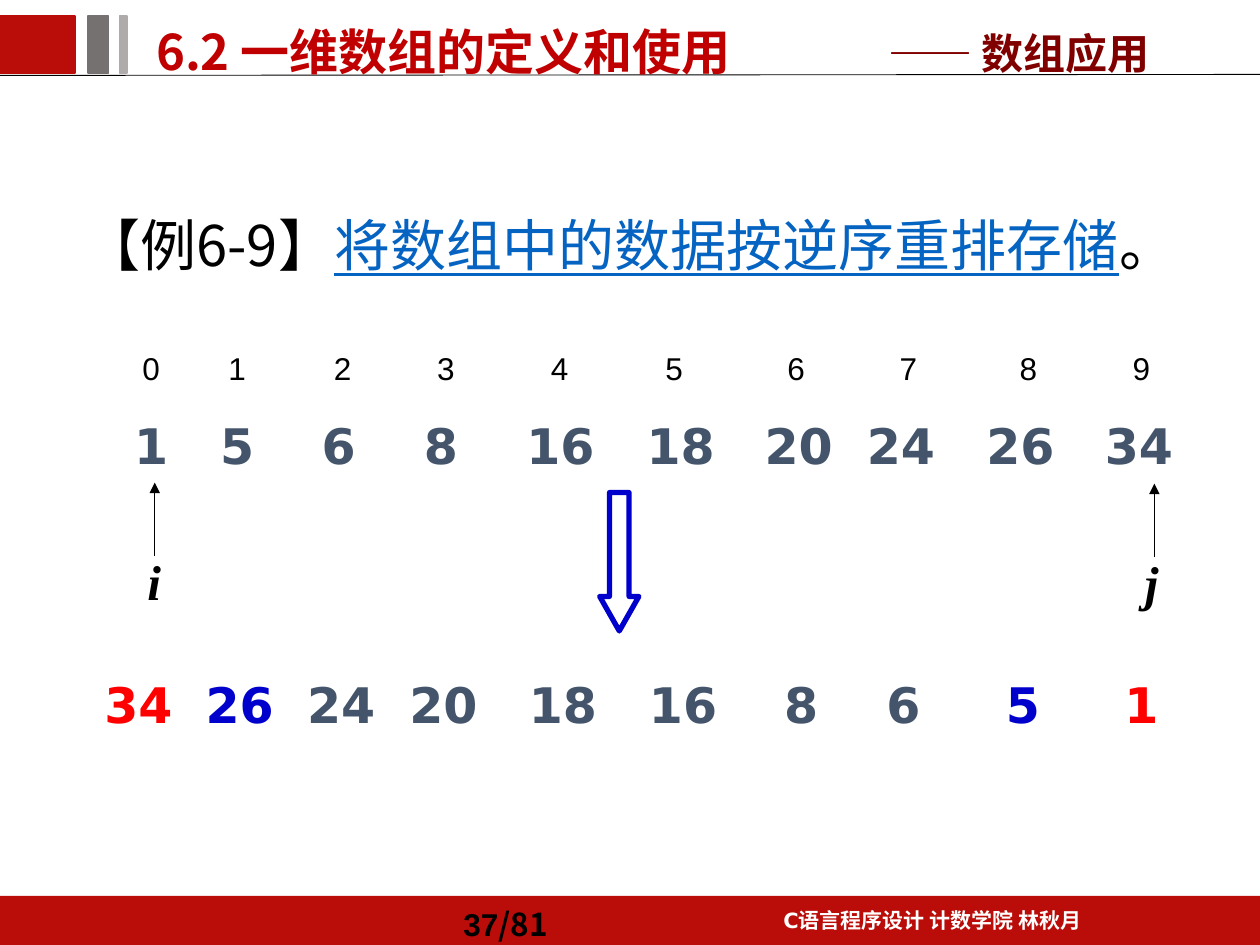
from lxml.etree import SubElement
from pptx import Presentation
from pptx.dml.color import RGBColor
from pptx.enum.shapes import MSO_CONNECTOR as Connector, MSO_SHAPE as Shape
from pptx.enum.text import MSO_ANCHOR as Anchor, PP_ALIGN as Align
from pptx.oxml.ns import qn
from pptx.util import Cm, Pt

COLORS = {
    "black": "000000", "white": "FFFFFF", "brand": "BA0D09", "title": "C00000",
    "topic": "800000", "gray": "767171", "silver": "AFABAB", "link": "0563C1",
    "slate": "44546A", "red": "FF0000", "blue": "0000CC",
}
SANS, DEJAVU, CJK, SERIF = "Arial", "DejaVu Sans", "Noto Sans CJK SC", "Times New Roman"
INSET = 0.25  # left inset of a text box, cm


def rgb(name):
    return RGBColor.from_string(COLORS[name])


class SlideBuilder:
    def __init__(self, slide):
        self.slide = slide

    def block(self, box, fill=None, line=None, width=1, kind=Shape.RECTANGLE):
        shape = self.slide.shapes.add_shape(kind, *map(Cm, box))
        shape.shadow.inherit = False
        if fill:
            shape.fill.solid()
            shape.fill.fore_color.rgb = rgb(fill)
        else:
            shape.fill.background()
        if line:
            shape.line.color.rgb = rgb(line)
            shape.line.width = Pt(width)
        else:
            shape.line.fill.background()
        return shape

    def line(self, start, end, width, arrow=False):
        connector = self.slide.shapes.add_connector(
            Connector.STRAIGHT, *map(Cm, start + end))
        connector.line.color.rgb = rgb("black")
        connector.line.width = Pt(width)
        if arrow:
            SubElement(connector.line._get_or_add_ln(), qn("a:headEnd"), type="triangle")
        SubElement(connector._element.spPr, qn("a:effectLst"))

    def text(self, box, runs, size, font, color="black", bold=True, italic=False,
             align=Align.LEFT, anchor=Anchor.TOP, wrap=True, spacing=None, before=None):
        """Each run is a string or a (string, color) pair."""
        frame = self.slide.shapes.add_textbox(*map(Cm, box)).text_frame
        frame.word_wrap = wrap
        frame.vertical_anchor = anchor
        paragraph = frame.paragraphs[0]
        paragraph.alignment = align
        if spacing:
            paragraph.line_spacing = spacing
            paragraph.space_before = Pt(before)
        style = paragraph.font
        style.size, style.bold, style.italic, style.name = Pt(size), bold, italic, font
        style.color.rgb = rgb(color)
        SubElement(style._element, qn("a:ea"), typeface=CJK)
        for item in runs:
            content, run_color = (item, None) if isinstance(item, str) else item
            run = paragraph.add_run()
            run.text = content
            if run_color:
                run.font.color.rgb = rgb(run_color)
        return paragraph

    def number_row(self, box, numbers, centers, size, font, color="black", bold=True,
                   accents=None):
        """Centre numbers on tab stops; one without a stop starts at the left edge."""
        accents = accents or {}
        first_tab = len(numbers) - len(centers)
        runs = [(("\t" if index >= first_tab else "") + str(number),
                 accents.get(index, color)) for index, number in enumerate(numbers)]
        paragraph = self.text(box, runs, size, font, color, bold, anchor=Anchor.MIDDLE)
        properties = paragraph._p.get_or_add_pPr()
        tabs = SubElement(properties, qn("a:tabLst"))
        properties.find(qn("a:defRPr")).addprevious(tabs)
        for center in centers:
            SubElement(tabs, qn("a:tab"), pos=str(Cm(center - box[0] - INSET)), algn="ctr")


def main():
    presentation = Presentation()
    presentation.slide_width, presentation.slide_height = Cm(25.4), Cm(19.05)
    builder = SlideBuilder(presentation.slides.add_slide(presentation.slide_layouts[6]))

    # Footer
    builder.block((0, 18.06, 25.4, 0.99), "brand")
    footer = builder.text((14.3, 18.06, 8.99, 0.86), ["C", "语言程序设计 计数学院 林秋月"],
                          12, SANS, "white", align=Align.CENTER, spacing=1.2, before=2.4)
    footer.runs[0].font.name = DEJAVU
    page = builder.text((9.09, 18.06, 3.61, 0.99), ["37", "/81"], 18, SANS,
                        anchor=Anchor.MIDDLE, spacing=1.2, before=3.6)
    page.runs[1].font.name = CJK

    # Header
    builder.line((0, 1.52), (25.4, 1.5), 0.5)
    for left, width, color in ((0, 1.52, "brand"), (1.78, 0.41, "gray"),
                               (2.41, 0.15, "silver")):
        builder.block((left, 0.33, width, 1.14), color, color)
    builder.text((2.9, 0.08, 14.1, 1.7), ["6.2 一维数组的定义和使用"], 28, CJK, "title",
                 spacing=1.2, before=5.6)
    builder.text((15.42, 0.43, 10.24, 1.27), ["—— 数组应用"], 24, SANS, "topic",
                 align=Align.CENTER, anchor=Anchor.BOTTOM)

    # Example statement
    statement = builder.text(
        (1.45, 3.71, 23.95, 11.63),
        ["【例6-9】", ("将数组中的数据按逆序重排存储", "link"), "。"],
        32, CJK, bold=False, spacing=1.3, before=7.5)
    statement.runs[1].font.underline = True

    # Index row, values before and values after reversal
    values = [1, 5, 6, 8, 16, 18, 20, 24, 26, 34]
    centers = [3.05, 4.78, 6.83, 8.89, 11.3, 13.72, 16.1, 18.16, 20.57, 22.96]
    index_centers = [4.78, 6.91, 8.99, 11.28, 13.59, 16.05, 18.31, 20.73, 23.01]
    reversed_centers = [2.79] + [center + 0.05 for center in centers[1:]]
    builder.number_row((2.62, 6.91, 20.88, 1.02), range(10), index_centers, 18, SANS,
                       bold=False)
    builder.number_row((1.45, 6.93, 22.86, 4.09), values, centers, 28, DEJAVU, "slate")
    builder.number_row((1.5, 12.14, 22.86, 4.09), values[::-1], reversed_centers, 28,
                       DEJAVU, "slate",
                       accents={0: "red", 1: "blue", 8: "blue", 9: "red"})

    # Index pointers and reversal arrow
    for name, label_left, arrow_x, top in (("i", 2.72, 3.12, 9.73), ("j", 22.83, 23.27, 9.75)):
        builder.text((label_left, top + 1.27, 0.79, 1.45), [name], 28, SERIF,
                     italic=True, wrap=False)
        builder.line((arrow_x, top), (arrow_x, top + 1.47), 0.75, arrow=True)
    arrow = builder.block((12.09, 9.93, 0.79, 2.79), line="blue", width=3,
                          kind=Shape.DOWN_ARROW)
    arrow.adjustments[1] = 0.88

    presentation.save("out.pptx")


if __name__ == "__main__":
    main()
